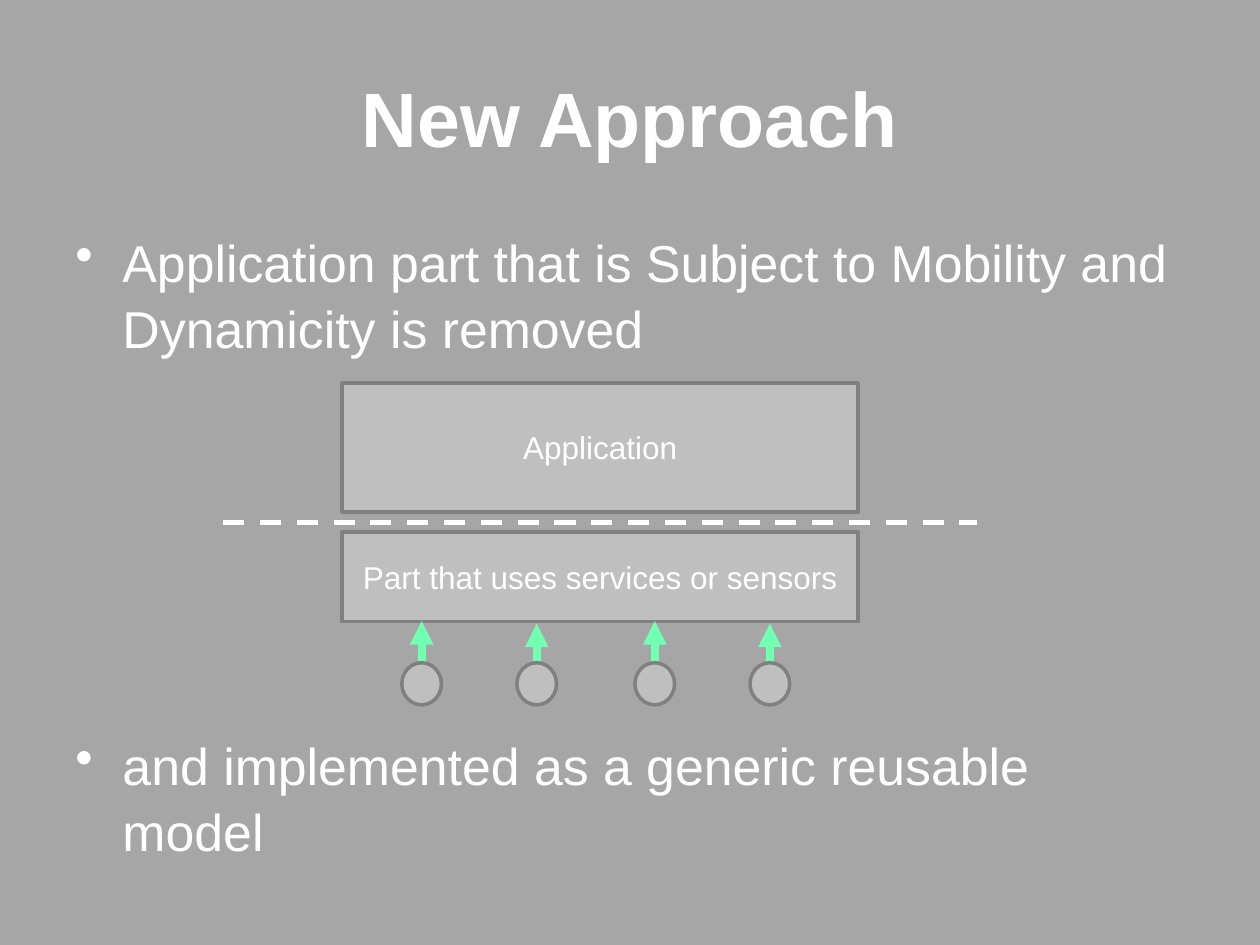
"""Build the New Approach slide with its layered application diagram."""
from pptx import Presentation
from pptx.dml.color import RGBColor
from pptx.enum.dml import MSO_LINE
from pptx.enum.shapes import MSO_CONNECTOR, MSO_SHAPE
from pptx.enum.text import MSO_ANCHOR, PP_ALIGN
from pptx.oxml.ns import qn
from pptx.util import Cm, Pt
from lxml.etree import SubElement

COLORS = {"back": "A6A6A6", "text": "FFFFFF", "fill": "BFBFBF",
          "edge": "808080", "arrow": "71FFB1"}


class Deck:
    def __init__(self, wide, high, font):
        self.show = Presentation()
        self.show.slide_width, self.show.slide_height = Cm(wide), Cm(high)
        self.font = font

    def color(self, name):
        return RGBColor.from_string(COLORS[name])

    def start(self):
        self.slide = self.show.slides.add_slide(self.show.slide_layouts[5])
        back = self.slide.background.fill
        back.solid()
        back.fore_color.rgb = self.color("back")

    def label(self, para, text, size, bold=False):
        run = para.add_run()
        run.text = text
        run.font.name, run.font.size, run.font.bold = self.font, Pt(size), bold
        run.font.color.rgb = self.color("text")

    def center(self, shape, text, size, bold=False):
        frame = shape.text_frame
        frame.word_wrap = True
        frame.vertical_anchor = MSO_ANCHOR.MIDDLE
        para = frame.paragraphs[0]
        para.alignment = PP_ALIGN.CENTER
        self.label(para, text, size, bold)

    def title(self, text, left, top, wide, high):
        shape = self.slide.shapes.title
        shape.left, shape.top = Cm(left), Cm(top)
        shape.width, shape.height = Cm(wide), Cm(high)
        self.center(shape, text, 44, True)

    def bullets(self, items, left, top, wide, high):
        box = self.slide.shapes.add_textbox(Cm(left), Cm(top), Cm(wide), Cm(high))
        frame = box.text_frame
        frame.word_wrap = True
        for i, (text, gap) in enumerate(items):
            para = frame.add_paragraph() if i else frame.paragraphs[0]
            para.line_spacing, para.space_before = 1.06, Pt(gap)
            props = para._p.get_or_add_pPr()
            props.set("marL", str(Cm(0.95)))
            props.set("indent", str(Cm(-0.95)))
            SubElement(props, qn("a:buChar"), char="•")
            self.label(para, text, 29.6)

    def shape(self, kind, left, top, wide, high, text=""):
        shape = self.slide.shapes.add_shape(
            kind, Cm(left), Cm(top), Cm(wide), Cm(high))
        shape.shadow.inherit = False
        shape.fill.solid()
        shape.fill.fore_color.rgb = self.color("fill")
        shape.line.color.rgb = self.color("edge")
        shape.line.width = Pt(2)
        if text:
            self.center(shape, text, 18)

    def line(self, x1, y1, x2, y2, color, width, dash=None, head=False):
        link = self.slide.shapes.add_connector(
            MSO_CONNECTOR.STRAIGHT, Cm(x1), Cm(y1), Cm(x2), Cm(y2))
        link.line.color.rgb = self.color(color)
        link.line.width = Pt(width)
        if dash:
            link.line.dash_style = dash
        props = link._element.spPr
        if head:
            SubElement(props.find(qn("a:ln")), qn("a:tailEnd"), type="triangle")
        SubElement(props, qn("a:effectLst"))


def main():
    deck = Deck(25.4, 19.05, "Arial")
    deck.start()
    deck.title("New Approach", 1.27, 0.76, 22.86, 3.18)
    deck.bullets([
        ("Application part that is Subject to Mobility and Dynamicity is removed", 0),
        ("and implemented as a generic reusable model", 212),
    ], 1.27, 4.45, 22.86, 12.57)

    for text, top, high in (("Application", 7.72, 2.6),
                            ("Part that uses services or sensors", 10.73, 1.8)):
        deck.shape(MSO_SHAPE.RECTANGLE, 6.9, top, 10.4, high, text)
    deck.line(4.5, 10.53, 19.7, 10.53, "text", 3, dash=MSO_LINE.DASH)

    wide, high = 0.8, 0.85
    for pair in (8.5, 13.2):
        for step, drop in ((0, 0), (2.32, 0.05)):
            mid = pair + step
            deck.line(mid, 13.56 + drop, mid, 12.52 + drop, "arrow", 4.5, head=True)
            deck.shape(MSO_SHAPE.OVAL, mid - wide / 2, 13.36, wide, high)

    deck.show.save("out.pptx")


if __name__ == "__main__":
    main()
